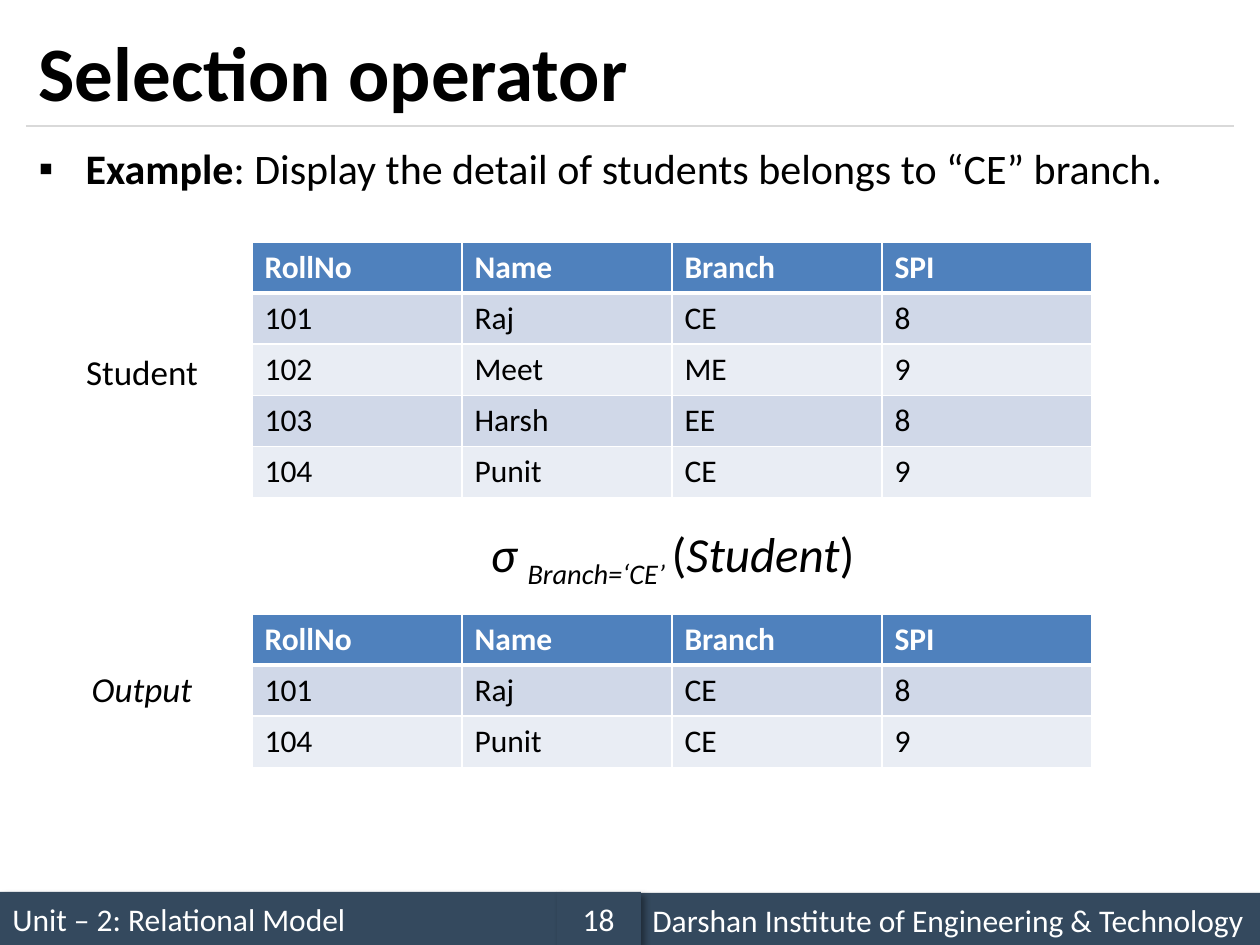
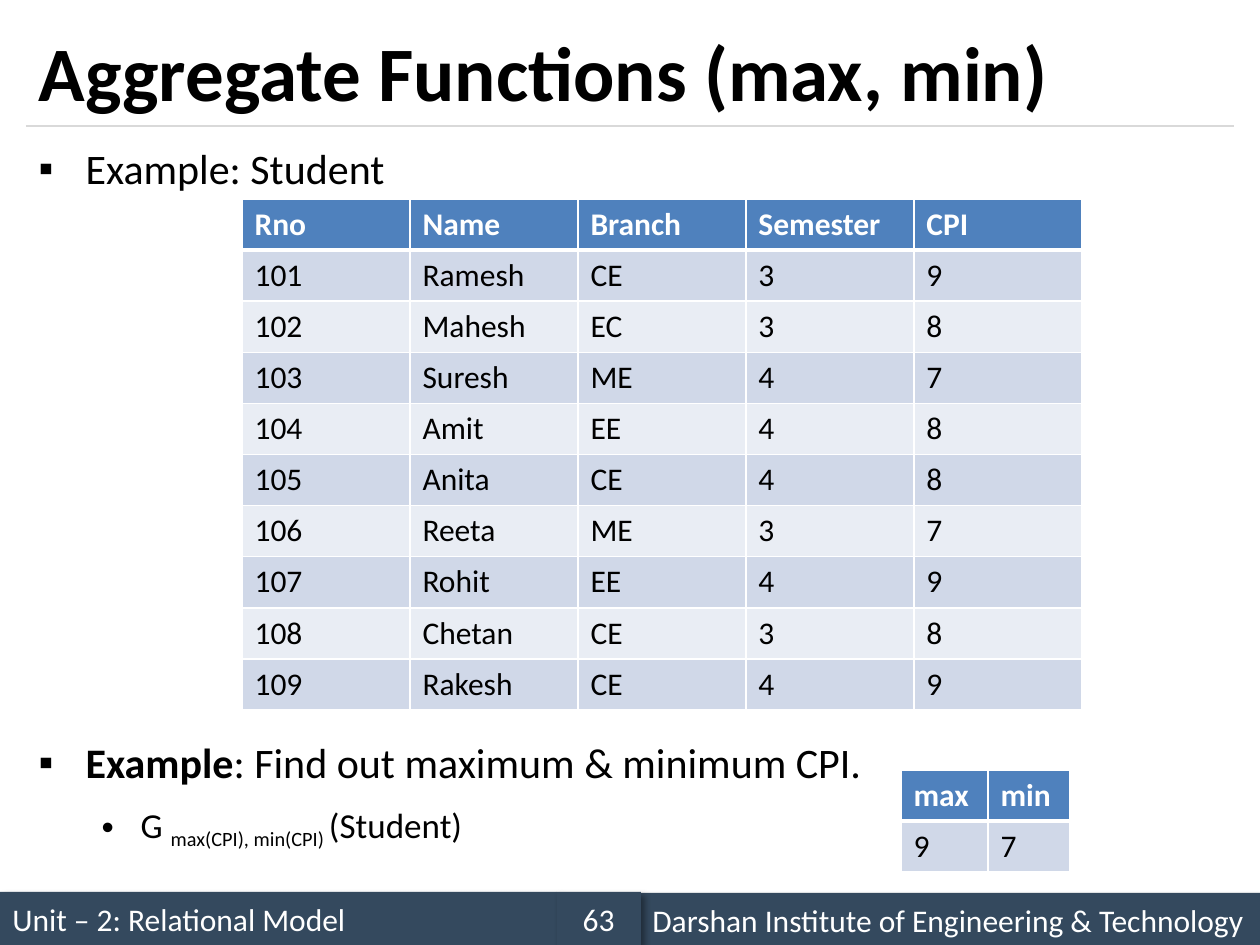
from dataclasses import dataclass

from lxml.etree import SubElement
from pptx import Presentation
from pptx.dml.color import RGBColor
from pptx.enum.shapes import MSO_CONNECTOR, MSO_SHAPE
from pptx.enum.text import MSO_ANCHOR, MSO_AUTO_SIZE, PP_ALIGN
from pptx.oxml.ns import qn
from pptx.util import Emu, Pt


@dataclass(frozen=True)
class Theme:
    font: str = "Calibri"
    ink: str = "000000"
    paper: str = "FFFFFF"
    band: str = "34495E"
    rule: str = "D9D9D9"
    header: str = "4F81BD"
    stripes: tuple = ("D0D8E8", "E9EDF4")
    title_size: int = 44
    formula_size: int = 28
    body_size: int = 24
    label_size: int = 20
    small_size: int = 18
    item_gap: int = 9


PX_PER_INCH = 126
ROW_HEIGHT = 51
UNIT = "Unit – 2: Relational Model"
INSTITUTE = "Darshan Institute of Engineering & Technology"


def px(length):
    return Emu(round(length * 914400 / PX_PER_INCH))


def color(code):
    return RGBColor.from_string(code)


class Page:
    def __init__(self, deck, theme, title, number):
        self.theme = theme
        self.slide = deck.slides.add_slide(deck.slide_layouts[1])
        self.band(0, 892, 557, UNIT)
        self.rule(26, 1234, 126)
        self.band(640, 893, 620, INSTITUTE)
        self.band(557, 892, 84, number, PP_ALIGN.CENTER)
        self.title(title)

    def place(self, shape, left, top, width, height):
        shape.left, shape.top = px(left), px(top)
        shape.width, shape.height = px(width), px(height)

    def style(self, span, size, ink, flags=""):
        font = span.font
        font.name, font.size = self.theme.font, Pt(size)
        font.color.rgb = color(ink)
        font.bold, font.italic = "b" in flags, "i" in flags
        if "s" in flags:
            font._element.set("baseline", "-25000")

    def add_spans(self, para, spans, size, ink=None, align=PP_ALIGN.LEFT):
        para.alignment = align
        for text, flags in spans:
            span = para.add_run()
            span.text = text
            self.style(span, size, ink or self.theme.ink, flags)

    def band(self, left, top, width, text, align=PP_ALIGN.LEFT):
        box = self.slide.shapes.add_shape(
            MSO_SHAPE.RECTANGLE, px(left), px(top), px(width), px(53))
        box.fill.solid()
        box.fill.fore_color.rgb = color(self.theme.band)
        box.line.fill.background()
        box.shadow.inherit = False
        effects = box._element.spPr.find(qn("a:effectLst"))
        shadow = SubElement(effects, qn("a:outerShdw"), blurRad=str(Pt(4)),
                            dist=str(Pt(3)), dir="2700000", rotWithShape="0")
        shade = SubElement(shadow, qn("a:srgbClr"), val=self.theme.ink)
        SubElement(shade, qn("a:alpha"), val="40000")
        frame = box.text_frame
        frame.vertical_anchor = MSO_ANCHOR.MIDDLE
        frame.margin_right = px(13 if align == PP_ALIGN.CENTER else 0)
        self.add_spans(frame.paragraphs[0], [(text, "")],
                       self.theme.small_size, self.theme.paper, align)

    def rule(self, left, right, top):
        line = self.slide.shapes.add_connector(
            MSO_CONNECTOR.STRAIGHT, px(left), px(top), px(right), px(top))
        line.line.color.rgb = color(self.theme.rule)
        line.line.width = Pt(0.75)
        SubElement(line._element.spPr, qn("a:effectLst"))

    def title(self, text):
        box = self.slide.shapes.title
        self.place(box, 26, 15, 1208, 111)
        frame = box.text_frame
        frame.auto_size = MSO_AUTO_SIZE.NONE
        frame.vertical_anchor = MSO_ANCHOR.MIDDLE
        self.add_spans(frame.paragraphs[0], [(text, "b")],
                       self.theme.title_size)

    def bullets(self, items):
        box = self.slide.placeholders[1]
        self.place(box, 26, 136, 1208, 735)
        frame = box.text_frame
        frame.auto_size = MSO_AUTO_SIZE.NONE
        levels = (("▪", 47, 47, self.theme.body_size),
                  ("•", 102, 39, self.theme.label_size))
        for index, (level, gap, spans) in enumerate(items):
            para = frame.add_paragraph() if index else frame.paragraphs[0]
            mark, margin, hanging, size = levels[level]
            para.level = level
            props = para._p.get_or_add_pPr()
            props.set("marL", str(px(margin)))
            props.set("indent", str(-px(hanging)))
            SubElement(props, qn("a:buFont"), typeface="Arial")
            SubElement(props, qn("a:buChar"), char=mark)
            para.space_before = Pt(gap)
            self.add_spans(para, spans, size)

    def label(self, left, top, width, height, spans, size):
        box = self.slide.shapes.add_textbox(
            px(left), px(top), px(width), px(height))
        frame = box.text_frame
        frame.word_wrap = True
        frame.auto_size = MSO_AUTO_SIZE.SHAPE_TO_FIT_TEXT
        self.add_spans(frame.paragraphs[0], spans, size,
                       align=PP_ALIGN.CENTER)

    def borders(self, cell, row):
        props = cell._tc.get_or_add_tcPr()
        widths = {"L": 1, "R": 1, "T": 3 if row == 1 else 1,
                  "B": 3 if row == 0 else 1}
        for side, width in widths.items():
            edge = SubElement(props, qn(f"a:ln{side}"), w=str(Pt(width)))
            fill = SubElement(edge, qn("a:solidFill"))
            SubElement(fill, qn("a:srgbClr"), val=self.theme.paper)

    def table(self, left, top, widths, rows):
        theme = self.theme
        grid = self.slide.shapes.add_table(
            len(rows), len(widths), px(left), px(top),
            px(sum(widths)), px(ROW_HEIGHT * len(rows))).table
        for column, width in zip(grid.columns, widths):
            column.width = px(width)
        for row, values in enumerate(rows):
            grid.rows[row].height = px(ROW_HEIGHT)
            fill = theme.stripes[(row - 1) % 2] if row else theme.header
            ink, flags = (theme.ink, "") if row else (theme.paper, "b")
            for column, value in enumerate(values):
                cell = grid.cell(row, column)
                self.borders(cell, row)
                cell.fill.solid()
                cell.fill.fore_color.rgb = color(fill)
                self.add_spans(cell.text_frame.paragraphs[0],
                               [(value, flags)], theme.small_size, ink)


def selection_page(deck, theme):
    page = Page(deck, theme, "Selection operator", "18")
    page.bullets([(0, 0, [
        ("Example", "b"),
        (": Display the detail of students belongs to “CE” branch.", "")])])
    students = [
        ("RollNo", "Name", "Branch", "SPI"),
        ("101", "Raj", "CE", "8"),
        ("102", "Meet", "ME", "9"),
        ("103", "Harsh", "EE", "8"),
        ("104", "Punit", "CE", "9"),
    ]
    selected = students[:1] + [row for row in students if row[2] == "CE"]
    page.table(252, 242, [210] * 4, students)
    page.table(252, 614, [210] * 4, selected)
    page.label(242, 517, 861, 72, [
        ("σ ", "i"), ("Branch=‘CE’ ", "is"), ("(", ""),
        ("Student", "i"), (")", "")], theme.formula_size)
    page.label(63, 344, 158, 55, [("Student", "")], theme.label_size)
    page.label(63, 661, 158, 55, [("Output", "i")], theme.label_size)


def aggregate_page(deck, theme):
    page = Page(deck, theme, "Aggregate Functions (max, min)", "63")
    page.bullets([
        (0, 0, [("Example: Student", "")]),
        (0, 311, [("Example", "b"),
                  (": Find out maximum & minimum CPI.", "")]),
        (1, theme.item_gap, [("G ", ""), ("max(CPI), min(CPI) ", "s"),
                             ("(Student)", "")]),
    ])
    page.table(242, 199, [168] * 5, [
        ("Rno", "Name", "Branch", "Semester", "CPI"),
        ("101", "Ramesh", "CE", "3", "9"),
        ("102", "Mahesh", "EC", "3", "8"),
        ("103", "Suresh", "ME", "4", "7"),
        ("104", "Amit", "EE", "4", "8"),
        ("105", "Anita", "CE", "4", "8"),
        ("106", "Reeta", "ME", "3", "7"),
        ("107", "Rohit", "EE", "4", "9"),
        ("108", "Chetan", "CE", "3", "8"),
        ("109", "Rakesh", "CE", "4", "9"),
    ])
    page.table(901, 770, [87, 82], [("max", "min"), ("9", "7")])


def main():
    deck = Presentation()
    deck.slide_width, deck.slide_height = px(1260), px(945)
    theme = Theme()
    selection_page(deck, theme)
    aggregate_page(deck, theme)
    deck.save("out.pptx")


if __name__ == "__main__":
    main()
